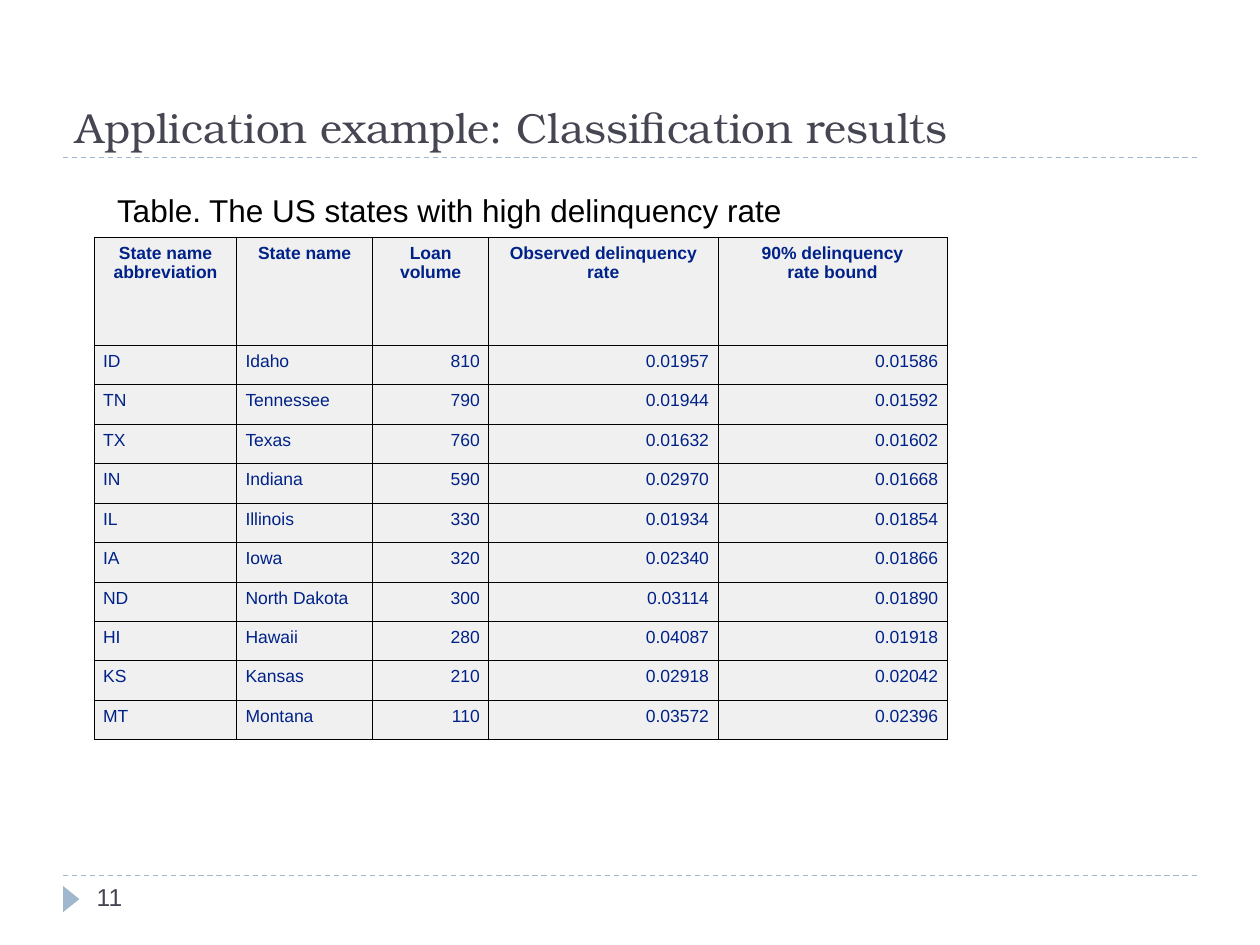
"""Build the slide that tabulates US states with a high delinquency rate."""
import copy
import dataclasses

import pptx
import pptx.dml.color
import pptx.enum.dml
import pptx.enum.shapes
import pptx.enum.text
import pptx.oxml
import pptx.oxml.ns
import pptx.util

Cm = pptx.util.Cm
Align = pptx.enum.text.PP_ALIGN
Anchor = pptx.enum.text.MSO_ANCHOR


@dataclasses.dataclass(frozen=True)
class Theme:
    heading_font: str = "TeX Gyre Bonum"
    body_font: str = "Arial"
    heading: str = "464653"
    caption: str = "000000"
    table_text: str = "002288"
    cell_fill: str = "F0F0F0"
    border: str = "000000"
    accent: str = "9FB8CD"
    title_size: int = 24
    caption_size: int = 18
    number_size: int = 14
    table_size: int = 10
    rule_width: float = 0.75
    border_width: float = 0.34


HEADERS = ["State name\nabbreviation", "State name", "Loan volume",
           "Observed delinquency\nrate", "90% delinquency\nrate bound"]
STATES = [
    ("ID", "Idaho", "810", "0.01957", "0.01586"),
    ("TN", "Tennessee", "790", "0.01944", "0.01592"),
    ("TX", "Texas", "760", "0.01632", "0.01602"),
    ("IN", "Indiana", "590", "0.02970", "0.01668"),
    ("IL", "Illinois", "330", "0.01934", "0.01854"),
    ("IA", "Iowa", "320", "0.02340", "0.01866"),
    ("ND", "North Dakota", "300", "0.03114", "0.01890"),
    ("HI", "Hawaii", "280", "0.04087", "0.01918"),
    ("KS", "Kansas", "210", "0.02918", "0.02042"),
    ("MT", "Montana", "110", "0.03572", "0.02396"),
]
COLUMN_WIDTHS = [2.87, 2.74, 2.34, 4.62, 4.62]
COLUMN_ALIGNS = [Align.LEFT] * 2 + [Align.RIGHT] * 3
HEADER_HEIGHT = 2.18
TABLE_HEIGHT = 10.13


def rgb(value):
    return pptx.dml.color.RGBColor.from_string(value)


def write(frame, text, *, font, size, color, bold=False, align=Align.LEFT):
    paragraph = frame.paragraphs[0]
    paragraph.text = text
    paragraph.alignment = align
    for run in paragraph.runs:
        run.font.name = font
        run.font.size = pptx.util.Pt(size)
        run.font.bold = bold
        run.font.color.rgb = rgb(color)
    for line_break in paragraph._p.findall(pptx.oxml.ns.qn("a:br")):
        line_break.insert(0, copy.deepcopy(paragraph.runs[0]._r.rPr))


class SlideBuilder:
    def __init__(self, slide, theme):
        self.slide = slide
        self.theme = theme

    def title(self, text, left, top, width, height):
        heading = self.slide.shapes.title
        heading.left, heading.top = Cm(left), Cm(top)
        heading.width, heading.height = Cm(width), Cm(height)
        heading.text_frame.vertical_anchor = Anchor.BOTTOM
        write(heading.text_frame, text, font=self.theme.heading_font,
              size=self.theme.title_size, color=self.theme.heading)

    def rule(self, left, right, y):
        divider = self.slide.shapes.add_connector(
            pptx.enum.shapes.MSO_CONNECTOR.STRAIGHT, Cm(left), Cm(y), Cm(right), Cm(y))
        divider.line.color.rgb = rgb(self.theme.accent)
        divider.line.width = pptx.util.Pt(self.theme.rule_width)
        divider.line.dash_style = pptx.enum.dml.MSO_LINE.DASH
        divider._element.spPr.append(pptx.oxml.parse_xml(
            f"<a:effectLst {pptx.oxml.ns.nsdecls('a')}/>"))

    def page_marker(self, left, top, width, height):
        marker = self.slide.shapes.add_shape(
            pptx.enum.shapes.MSO_SHAPE.ISOSCELES_TRIANGLE,
            Cm(left), Cm(top), Cm(width), Cm(height))
        marker.rotation = 90
        marker.shadow.inherit = False
        marker.fill.solid()
        marker.fill.fore_color.rgb = rgb(self.theme.accent)
        marker.line.fill.background()

    def label(self, text, left, top, width, height, *, size, color):
        frame = self.slide.shapes.add_textbox(
            Cm(left), Cm(top), Cm(width), Cm(height)).text_frame
        frame.word_wrap = True
        write(frame, text, font=self.theme.body_font, size=size, color=color)

    def table(self, left, top):
        grid = self.slide.shapes.add_table(
            len(STATES) + 1, len(HEADERS), Cm(left), Cm(top),
            Cm(sum(COLUMN_WIDTHS)), Cm(TABLE_HEIGHT)).table
        grid.first_row = grid.horz_banding = False
        for column, width in zip(grid.columns, COLUMN_WIDTHS):
            column.width = Cm(width)
        state_height = (TABLE_HEIGHT - HEADER_HEIGHT) / len(STATES)
        for r, values in enumerate([HEADERS, *STATES]):
            is_header = r == 0
            grid.rows[r].height = Cm(HEADER_HEIGHT if is_header else state_height)
            for c, value in enumerate(values):
                self.cell(grid.cell(r, c), value, bold=is_header,
                          align=Align.CENTER if is_header else COLUMN_ALIGNS[c])

    def cell(self, cell, text, *, bold, align):
        cell.margin_left = cell.margin_right = Cm(0.18)
        cell.margin_top = cell.margin_bottom = Cm(0.13)
        cell.fill.solid()
        cell.fill.fore_color.rgb = rgb(self.theme.cell_fill)
        write(cell.text_frame, text, font=self.theme.body_font,
              size=self.theme.table_size, color=self.theme.table_text,
              bold=bold, align=align)
        width = pptx.util.Pt(self.theme.border_width)
        for position, side in enumerate(("lnL", "lnR", "lnT", "lnB")):
            cell._tc.get_or_add_tcPr().insert(position, pptx.oxml.parse_xml(
                f'<a:{side} {pptx.oxml.ns.nsdecls("a")} w="{width}"><a:solidFill>'
                f'<a:srgbClr val="{self.theme.border}"/></a:solidFill></a:{side}>'))


def main():
    deck = pptx.Presentation()
    deck.slide_width, deck.slide_height = Cm(25.4), Cm(19.05)
    theme = Theme()
    builder = SlideBuilder(deck.slides.add_slide(deck.slide_layouts[5]), theme)
    for y in (17.65, 3.18):
        builder.rule(1.27, 24.13, y)
    builder.page_marker(1.17, 17.96, 0.53, 0.33)
    builder.title("Application example: Classification results", 1.27, 0.43, 22.86, 2.75)
    builder.label("11", 1.7, 17.65, 5.5, 1.02,
                  size=theme.number_size, color=theme.heading)
    builder.label("Table. The US states with high delinquency rate",
                  2.11, 3.73, 20.6, 1.02,
                  size=theme.caption_size, color=theme.caption)
    builder.table(1.9, 4.78)
    deck.save("out.pptx")


if __name__ == "__main__":
    main()
